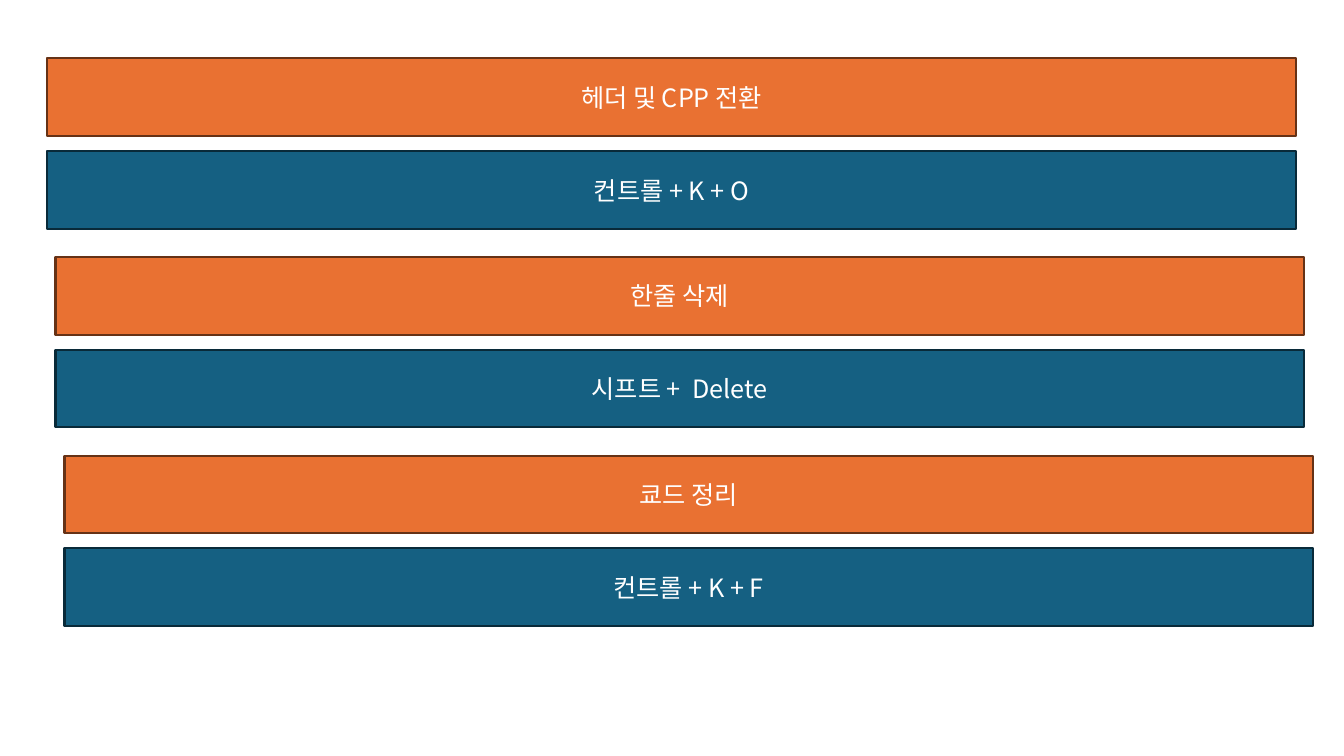
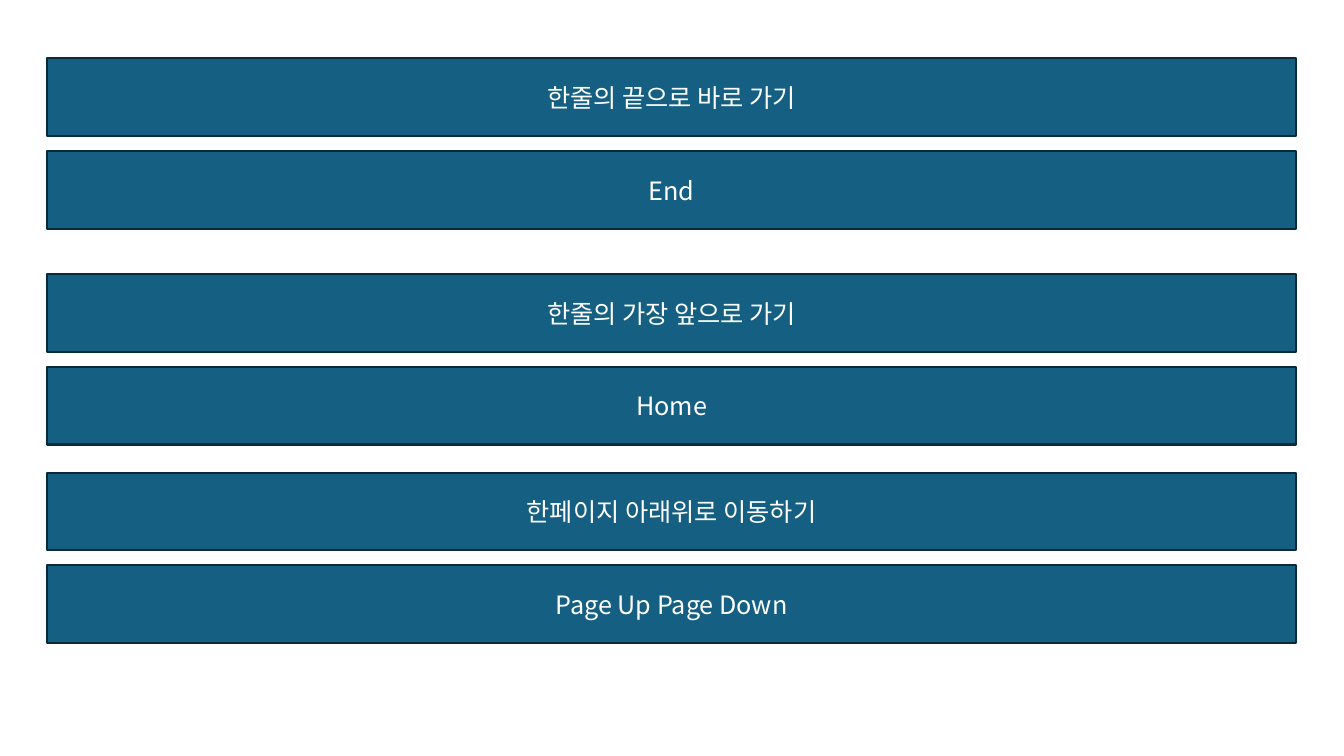
from lxml import etree
from pptx import Presentation
from pptx import util as u
from pptx.dml.color import RGBColor
from pptx.enum import shapes, text
from pptx.oxml.ns import qn

FONT = "Noto Sans CJK KR"
ORANGE = ("E97132", "663216")  # fill, line
BLUE = ("156082", "092A39")
BAR_W, BAR_H = 12.38, 0.77
STEP = 0.92  # from an action bar to its key bar


def rgb(value):
    return RGBColor.from_string(value)


def add_bar(s, left, top, label, colors):
    sp = s.shapes.add_shape(shapes.MSO_SHAPE.RECTANGLE, u.Inches(left),
                            u.Inches(top), u.Inches(BAR_W), u.Inches(BAR_H))
    sp.shadow.inherit = False
    fill, line = colors
    sp.fill.solid()
    sp.fill.fore_color.rgb = rgb(fill)
    sp.line.color.rgb = rgb(line)
    sp.line.width = u.Pt(1.5)
    tf = sp.text_frame
    tf.word_wrap = True
    tf.vertical_anchor = text.MSO_ANCHOR.MIDDLE
    p = tf.paragraphs[0]
    p.text = label
    p.alignment = text.PP_ALIGN.CENTER
    p.font.size = u.Pt(18)
    p.font.name = FONT
    p.font.color.rgb = rgb("FFFFFF")
    # Korean letters take the East Asian font
    etree.SubElement(p._p.pPr.find(qn("a:defRPr")), qn("a:ea"), typeface=FONT)


# Each slide: colours of its action bars, then (left, top, action, keys)
slides = [
    (ORANGE, [
        (0.47, 0.58, "헤더 및 CPP 전환", "컨트롤 + K + O"),
        (0.55, 2.55, "한줄 삭제", "시프트 +  Delete"),
        (0.64, 4.52, "쿄드 정리", "컨트롤 + K + F"),
    ]),
    (BLUE, [
        (0.47, 0.58, "한줄의 끝으로 바로 가기", "End"),
        (0.47, 2.72, "한줄의 가장 앞으로 가기", "Home"),
        (0.47, 4.69, "한페이지 아래위로 이동하기", "Page Up Page Down"),
    ]),
]

prs = Presentation()
prs.slide_width, prs.slide_height = u.Inches(13.33), u.Inches(7.5)

for action_colors, shortcuts in slides:
    s = prs.slides.add_slide(prs.slide_layouts[6])
    for left, top, action, keys in shortcuts:
        add_bar(s, left, top, action, action_colors)
        add_bar(s, left, top + STEP, keys, BLUE)

prs.save("out.pptx")
